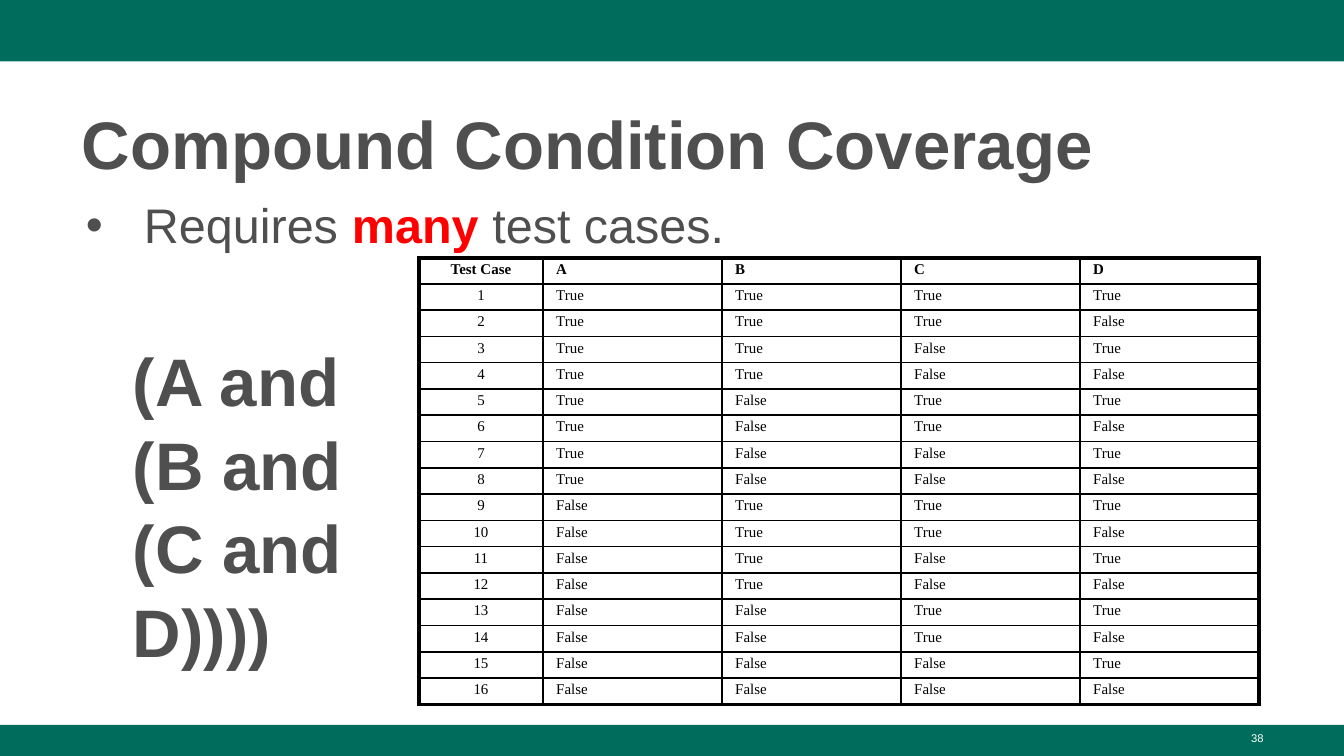
from dataclasses import dataclass
from itertools import product

from lxml.etree import SubElement
from pptx import Presentation
from pptx.dml.color import RGBColor
from pptx.enum.shapes import MSO_SHAPE
from pptx.enum.text import MSO_ANCHOR, PP_ALIGN
from pptx.oxml import parse_xml
from pptx.oxml.ns import nsdecls, qn
from pptx.util import Pt

COLORS = {"green": "006C5C", "gray": "4F4F4F", "red": "FF0000", "black": "000000", "white": "FFFFFF"}
THIN, THICK = 1, 2.25


@dataclass
class Box:
    left: float
    top: float
    width: float
    height: float

    def lengths(self) -> list[Pt]:
        return [Pt(v) for v in (self.left, self.top, self.width, self.height)]


@dataclass
class Caption:
    box: Box
    lines: list[str]
    size: float
    color: str = "gray"
    bold: bool = False
    insets: tuple[float, float, float, float] = (7.2, 3.6, 7.2, 3.6)
    spacing: float = 1.0
    align: PP_ALIGN = PP_ALIGN.LEFT
    anchor: MSO_ANCHOR = MSO_ANCHOR.TOP


def rgb(name: str) -> RGBColor:
    return RGBColor.from_string(COLORS[name])


def style(paragraph, face: str, size: float, color: str, bold: bool) -> None:
    font = paragraph.font
    font.name, font.size, font.bold = face, Pt(size), bold
    font.color.rgb = rgb(color)


def draw_band(slide, box: Box) -> None:
    band = slide.shapes.add_shape(MSO_SHAPE.RECTANGLE, *box.lengths())
    band.shadow.inherit = False
    band.fill.solid()
    band.fill.fore_color.rgb = rgb("green")
    band.line.fill.background()


def draw_caption(slide, caption: Caption):
    frame = slide.shapes.add_textbox(*caption.box.lengths()).text_frame
    frame.word_wrap = True
    frame.vertical_anchor = caption.anchor
    frame.margin_left, frame.margin_top, frame.margin_right, frame.margin_bottom = map(Pt, caption.insets)
    frame.text = "\n".join(caption.lines)
    for paragraph in frame.paragraphs:
        paragraph.alignment = caption.align
        paragraph.line_spacing = caption.spacing
        style(paragraph, "Arial", caption.size, caption.color, caption.bold)
    return frame


def add_bullet(paragraph, margin: float, indent: float) -> None:
    props = paragraph._p.get_or_add_pPr()
    props.set("marL", str(Pt(margin)))
    props.set("indent", str(Pt(indent)))
    marker_color = SubElement(props, qn("a:buClr"))
    SubElement(marker_color, qn("a:srgbClr")).set("val", COLORS["gray"])
    SubElement(props, qn("a:buFont")).set("typeface", "Arial")
    SubElement(props, qn("a:buChar")).set("char", "•")
    props.append(props.find(qn("a:defRPr")))


def set_borders(cell, widths: dict[str, float]) -> None:
    props = cell._tc.get_or_add_tcPr()
    for position, (side, width) in enumerate(widths.items()):
        props.insert(position, parse_xml(
            f'<a:ln{side} {nsdecls("a")} w="{Pt(width)}"><a:solidFill>'
            f'<a:srgbClr val="{COLORS["black"]}"/></a:solidFill></a:ln{side}>'))


def draw_truth_table(slide, box: Box, rows: list[list[str]], widths: list[float], heights: list[float]) -> None:
    table = slide.shapes.add_table(len(rows), len(widths), *box.lengths()).table
    table.first_row = table.horz_banding = False
    for column, width in zip(table.columns, widths):
        column.width = Pt(width)
    last_row, last_column = len(rows) - 1, len(widths) - 1
    for r, (values, height) in enumerate(zip(rows, heights)):
        table.rows[r].height = Pt(height)
        for c, value in enumerate(values):
            cell = table.cell(r, c)
            cell.text = value
            cell.fill.background()
            cell.margin_left = cell.margin_right = Pt(7.2)
            cell.margin_top = cell.margin_bottom = Pt(2.6)
            paragraph = cell.text_frame.paragraphs[0]
            paragraph.alignment = PP_ALIGN.CENTER if c == 0 else PP_ALIGN.LEFT
            paragraph.line_spacing = 0.9
            style(paragraph, "Times New Roman", 8, "black", r == 0)
            outer = {"L": c == 0, "R": c == last_column, "T": r == 0, "B": r == last_row}
            set_borders(cell, {side: THICK if edge else THIN for side, edge in outer.items()})


deck = Presentation()
deck.slide_width, deck.slide_height = Pt(720), Pt(405)
slide = deck.slides.add_slide(deck.slide_layouts[6])

for band_box in (Box(0, 0, 720, 33), Box(0, 388.3, 720, 16.7)):
    draw_band(slide, band_box)

draw_caption(slide, Caption(Box(36.8, 48.2, 647.2, 52.6), ["Compound Condition Coverage"], 36, bold=True,
                            insets=(7.2, 3.6, 3.6, 3.6), spacing=1.08, anchor=MSO_ANCHOR.MIDDLE))

claim = draw_caption(slide, Caption(Box(36.8, 100.8, 647.2, 274.4), ["Requires "], 26,
                                    insets=(4.3, 7.2, 7.2, 3.6), spacing=0.9)).paragraphs[0]
add_bullet(claim, 36, -31)
many = claim.add_run()
many.text = "many"
many.font.bold = True
many.font.color.rgb = rgb("red")
claim.add_run().text = " test cases."

draw_caption(slide, Caption(Box(64.1, 172.8, 165.6, 45.4), ["(A and", "(B and", "(C and D))))"], 36,
                            bold=True, insets=(7.2, 7.2, 7.2, 7.2), spacing=1.04))

cases = product(("True", "False"), repeat=4)
truth_rows = [["Test Case", *"ABCD"]] + [[str(n), *case] for n, case in enumerate(cases, 1)]
draw_truth_table(slide, Box(224.6, 138.2, 450, 236), truth_rows, [66.2] + [95.9] * 4, [8.6] + [14.1] * 16)

draw_caption(slide, Caption(Box(516.2, 388.5, 167.8, 16.5), ["38"], 6, "white", align=PP_ALIGN.RIGHT))

deck.save("out.pptx")
